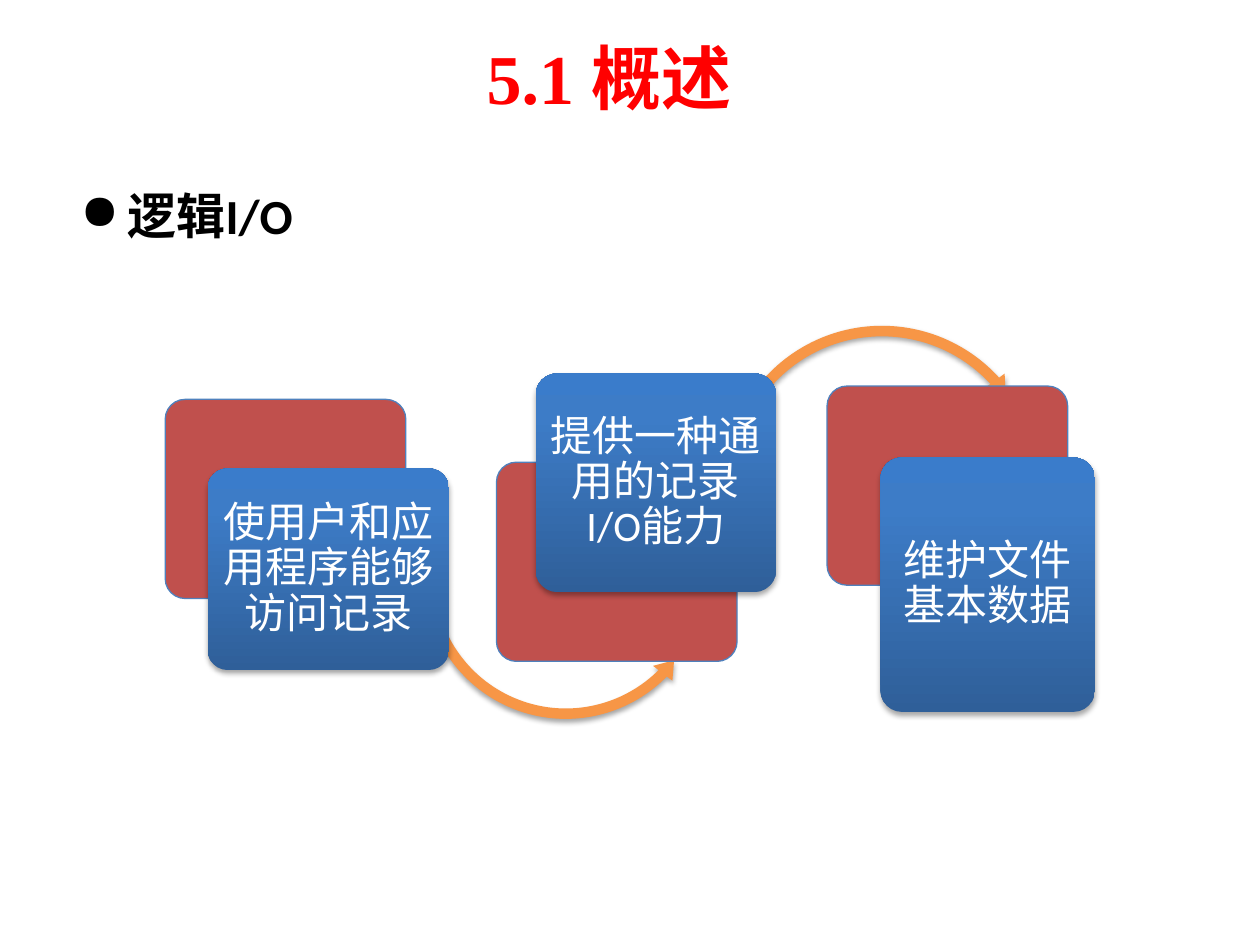
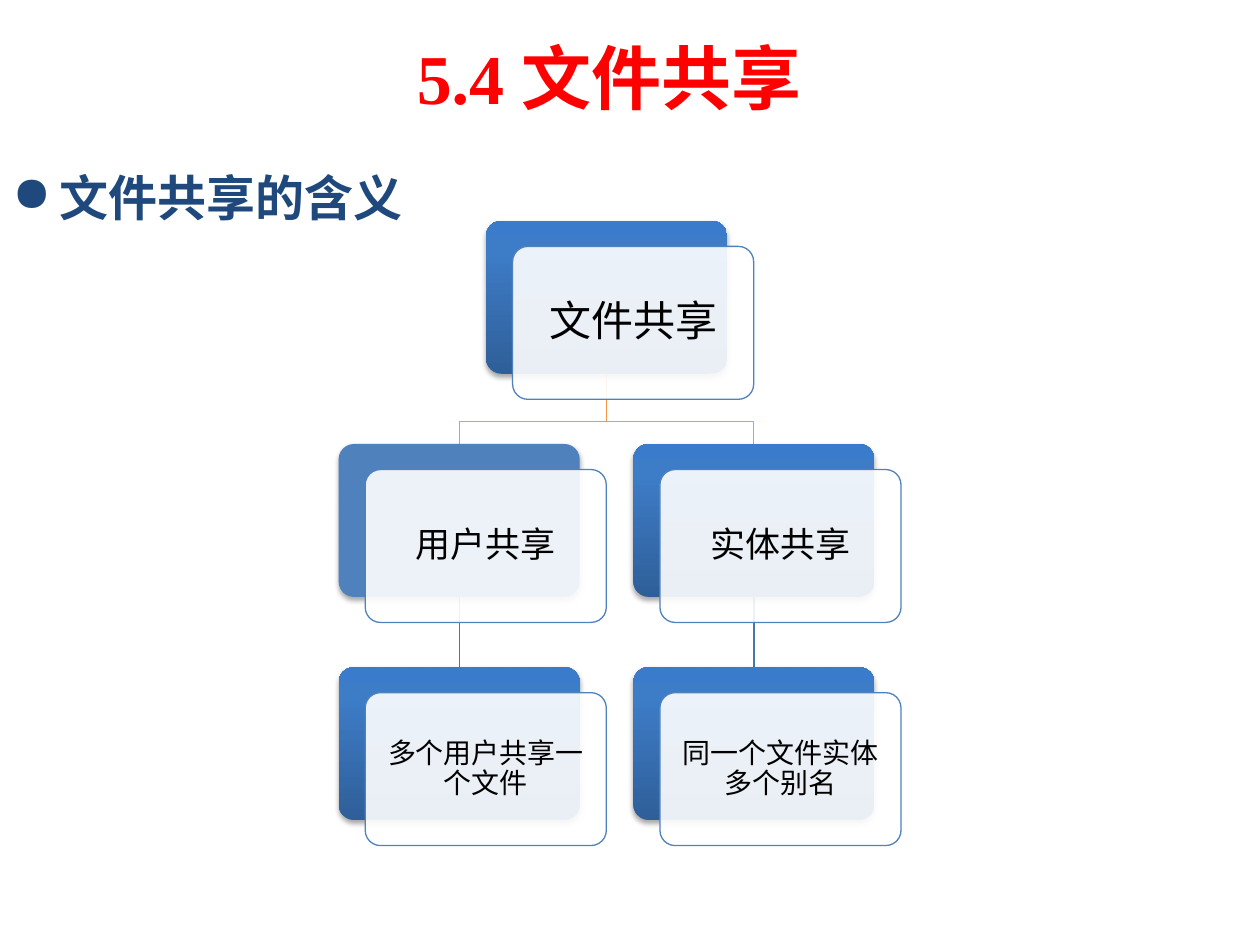
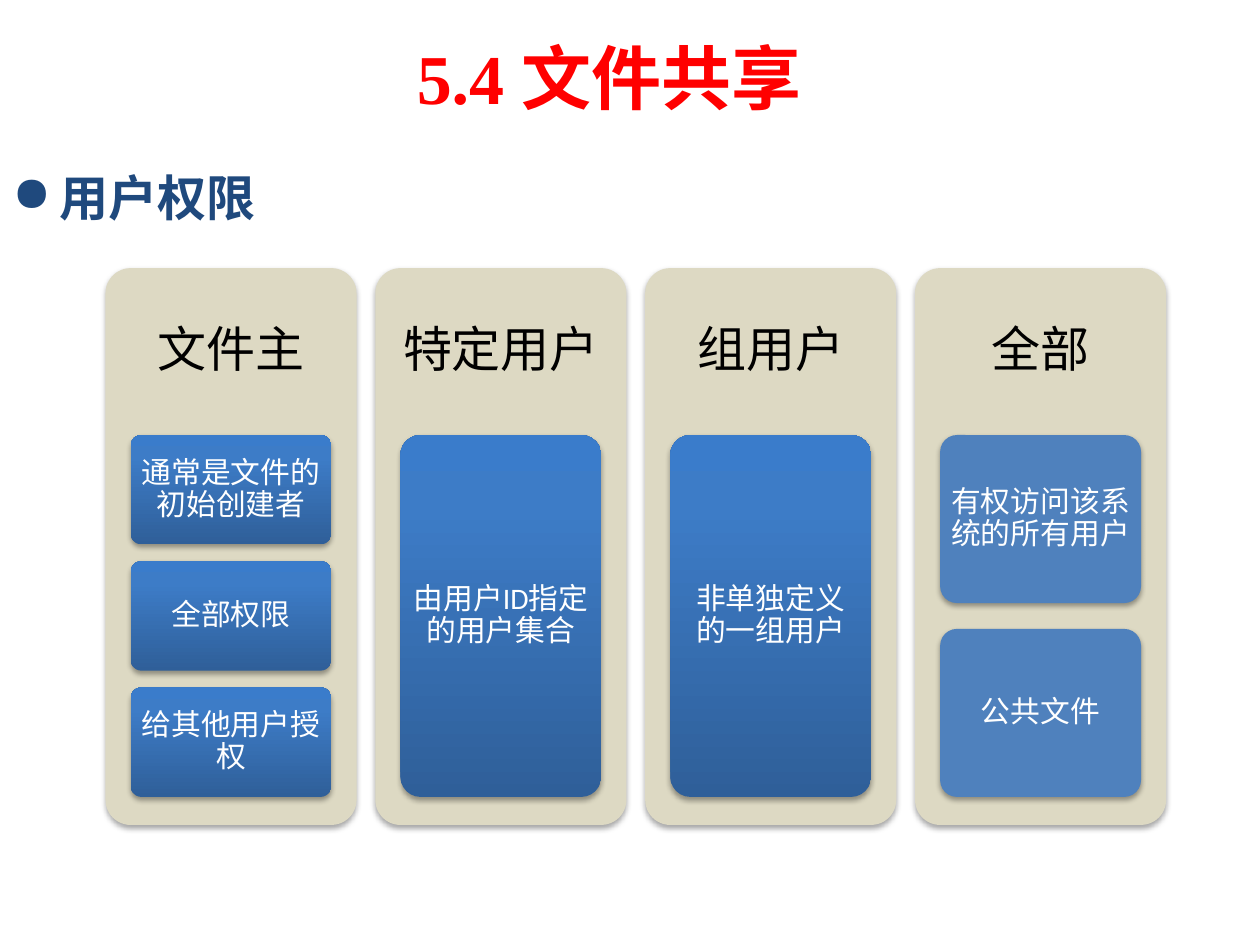
from copy import deepcopy

from pptx import Presentation
from pptx.dml.color import RGBColor
from pptx.enum.shapes import MSO_CONNECTOR, MSO_SHAPE
from pptx.enum.text import MSO_ANCHOR, PP_ALIGN
from pptx.oxml.ns import qn
from pptx.util import Pt
from lxml.etree import SubElement

RED = RGBColor(0xFF, 0x00, 0x00)
BLACK = RGBColor(0x00, 0x00, 0x00)
WHITE = RGBColor(0xFF, 0xFF, 0xFF)
NAVY = RGBColor(0x1F, 0x49, 0x7D)
BLUE = RGBColor(0x4F, 0x81, 0xBD)
LINK_BLUE = RGBColor(0x48, 0x75, 0xAC)
BRICK = RGBColor(0xC0, 0x50, 0x4D)
ORANGE = RGBColor(0xF7, 0x96, 0x46)
SAND = RGBColor(0xDD, 0xD9, 0xC3)
GLOSS = [
    (0, RGBColor(0x2F, 0x5F, 0x99)),
    (0.8, RGBColor(0x3D, 0x7C, 0xC7)),
    (1, RGBColor(0x3A, 0x7C, 0xCB)),
]

TITLE_BOX = (66.2, 21.6, 563.8, 44.6)
ROUNDING = [0.1]

OVERVIEW = {
    "title": "5.1 概述",
    "heading": "逻辑I/O",
    "heading_box": (38.9, 94.3, 617.8, 102.2),
    "plate_size": (137.5, 113.8),
    "stages": [
        {
            "plate": (94.4, 228.2),
            "card": (118.6, 267.7, 138, 115.2),
            "text": "使用户和应用程序能够访问记录",
            "arrow": (MSO_SHAPE.LEFT_CIRCULAR_ARROW, (238.3, 244.8, 170, 170),
                      [0.035, 4.356, 26.86, 94.994, 0.041]),
        },
        {
            "plate": (283.7, 264.1),
            "card": (306, 213.4, 137.5, 125),
            "text": "提供一种通用的记录I/O能力",
            "arrow": (MSO_SHAPE.CIRCULAR_ARROW, (409.7, 182.2, 188.6, 188.6),
                      [0.032, 3.878, 190.549, 121.937, 0.037]),
        },
        {
            "plate": (472.6, 220.6),
            "card": (503.1, 261.4, 122.6, 145.4),
            "text": "维护文件基本数据",
            "arrow": None,
        },
    ],
}

SHARING = {
    "title": "5.4 文件共享",
    "heading": "文件共享的含义",
    "heading_box": (0, 77, 720, 105.8),
    "root": "文件共享",
    "branches": [
        ("用户共享", "多个用户共享一个文件", BLUE),
        ("实体共享", "同一个文件实体多个别名", GLOSS),
    ],
    "level_sizes": [24, 20, 16],
}
NODE_WIDTH, NODE_HEIGHT = 137.8, 87.4
TREE_LEFT, TREE_TOP = 193.5, 126.2
BRANCH_STEP, LEVEL_STEP = 168.4, 127.5
FRONT_SHIFT = (15.2, 14.6)
ELBOW_DROP = 27.4

RIGHTS = {
    "title": "5.4 文件共享",
    "heading": "用户权限",
    "heading_box": (0, 77, 720, 69.8),
    "columns": [
        ("文件主", ["通常是文件的初始创建者", "全部权限", "给其他用户授权"], GLOSS),
        ("特定用户", ["由用户ID指定的用户集合"], GLOSS),
        ("组用户", ["非单独定义的一组用户"], GLOSS),
        ("全部", ["有权访问该系统的所有用户", "公共文件"], BLUE),
    ],
}
COLUMN_LEFT, COLUMN_TOP = 60.3, 153.2
COLUMN_WIDTH, COLUMN_HEIGHT, COLUMN_STEP = 143.5, 318.2, 154.2
HEADER_HEIGHT = 95.4
CARD_WIDTH, CARDS_HEIGHT, CARD_GAP_RATIO = 114.8, 206.8, 0.154


def points(values):
    return [Pt(round(value, 2)) for value in values]


def write_text(shape, text, *, size, color, font="Calibri", bold=False, align=PP_ALIGN.CENTER,
               anchor=MSO_ANCHOR.MIDDLE, line_spacing=0.9, insets=(7.2, 3.6)):
    frame = shape.text_frame
    frame.word_wrap = True
    frame.vertical_anchor = anchor
    frame.margin_left = frame.margin_right = Pt(insets[0])
    frame.margin_top = frame.margin_bottom = Pt(insets[1])
    paragraph = frame.paragraphs[0]
    paragraph.alignment = align
    paragraph.line_spacing = line_spacing
    run = paragraph.add_run()
    run.text = text
    run.font.size = Pt(size)
    run.font.name = font
    run.font.bold = bold
    run.font.color.rgb = color
    return paragraph


def add_text(slide, box, text, **text_format):
    return write_text(slide.shapes.add_textbox(*points(box)), text, **text_format)


def paint(shape, fill):
    if isinstance(fill, RGBColor):
        shape.fill.solid()
        shape.fill.fore_color.rgb = fill
        return
    shape.fill.gradient()
    shape.fill.gradient_angle = 90
    stop_list = shape._element.spPr.find(".//" + qn("a:gsLst"))
    stop_list.append(deepcopy(stop_list[0]))
    for stop, (position, color) in zip(shape.fill.gradient_stops, fill):
        stop.position = position
        stop.color.rgb = color


def set_alpha(parent, percent):
    color = parent.find(".//" + qn("a:srgbClr"))
    SubElement(color, qn("a:alpha"), val=str(percent * 1000))


def cast_shadow(shape):
    effects = shape._element.spPr.find(qn("a:effectLst"))
    shadow = SubElement(effects, qn("a:outerShdw"), blurRad=str(Pt(3.1)), dist=str(Pt(1.8)),
                        dir="5400000", rotWithShape="0")
    SubElement(shadow, qn("a:srgbClr"), val=str(BLACK))
    set_alpha(shadow, 35)


def add_block(slide, box, fill, kind=MSO_SHAPE.ROUNDED_RECTANGLE, adjustments=ROUNDING,
              outline=None):
    shape = slide.shapes.add_shape(kind, *points(box))
    for index, value in enumerate(adjustments):
        shape.adjustments[index] = value
    paint(shape, fill)
    shape.shadow.inherit = False
    if outline:
        shape.line.color.rgb = outline
        shape.line.width = Pt(0.75)
    else:
        shape.line.fill.background()
        cast_shadow(shape)
    return shape


def start_slide(presentation, content, heading_color, heading_spacing):
    slide = presentation.slides.add_slide(presentation.slide_layouts[6])
    add_text(slide, TITLE_BOX, content["title"], size=40, color=RED,
             font="Times New Roman", bold=True, line_spacing=1)
    paragraph = add_text(slide, content["heading_box"], content["heading"], size=28,
                         color=heading_color, bold=True, align=PP_ALIGN.LEFT,
                         anchor=MSO_ANCHOR.TOP, line_spacing=heading_spacing)
    paragraph.space_before = Pt(5.6)
    properties = paragraph._p.get_or_add_pPr()
    properties.set("marL", str(Pt(27)))
    properties.set("indent", str(-Pt(27)))
    bullet_color = SubElement(properties, qn("a:buClr"))
    SubElement(bullet_color, qn("a:srgbClr"), val=str(heading_color))
    SubElement(properties, qn("a:buChar"), char="●")
    return slide


def build_overview(presentation):
    slide = start_slide(presentation, OVERVIEW, BLACK, 1.25)
    for stage in OVERVIEW["stages"]:
        add_block(slide, stage["plate"] + OVERVIEW["plate_size"], BRICK, outline=BLUE)
        if stage["arrow"]:
            kind, box, adjustments = stage["arrow"]
            add_block(slide, box, ORANGE, kind, adjustments)
        card = add_block(slide, stage["card"], GLOSS)
        write_text(card, stage["text"], size=24, color=WHITE, insets=(3.6, 2.4))


def add_node(slide, column, level, text, fill):
    left, top = TREE_LEFT + column * BRANCH_STEP, TREE_TOP + level * LEVEL_STEP
    size = SHARING["level_sizes"][level]
    back = add_block(slide, (left, top, NODE_WIDTH, NODE_HEIGHT), fill)
    front = add_block(slide, (left + FRONT_SHIFT[0], top + FRONT_SHIFT[1],
                              NODE_WIDTH, NODE_HEIGHT), WHITE, outline=BLUE)
    set_alpha(front._element.spPr.find(qn("a:solidFill")), 90)
    write_text(front, text, size=size, color=BLACK, insets=(size * 0.3, size * 0.3))
    return back


def add_elbow(slide, column):
    root_x = TREE_LEFT + BRANCH_STEP / 2 + NODE_WIDTH / 2
    branch_x = TREE_LEFT + column * BRANCH_STEP + NODE_WIDTH / 2
    root_bottom = TREE_TOP + NODE_HEIGHT
    bend_y = root_bottom + ELBOW_DROP
    builder = slide.shapes.build_freeform(*points((root_x, root_bottom)))
    corners = [(root_x, bend_y), (branch_x, bend_y), (branch_x, TREE_TOP + LEVEL_STEP)]
    builder.add_line_segments([points(corner) for corner in corners], close=False)
    elbow = builder.convert_to_shape()
    elbow.fill.background()
    elbow.line.color.rgb = ORANGE
    elbow.line.width = Pt(0.75)
    elbow.shadow.inherit = False


def add_link(slide):
    link = slide.shapes.add_connector(MSO_CONNECTOR.STRAIGHT, 0, 0, 0, 0)
    link.line.color.rgb = LINK_BLUE
    link.line.width = Pt(0.75)
    SubElement(link._element.spPr, qn("a:effectLst"))
    return link


def build_sharing(presentation):
    slide = start_slide(presentation, SHARING, NAVY, 1.45)
    links = [add_link(slide) for _ in SHARING["branches"]]
    for column in range(len(links)):
        add_elbow(slide, column)
    add_node(slide, 0.5, 0, SHARING["root"], GLOSS)
    for column, (name, meaning, fill) in enumerate(SHARING["branches"]):
        branch = add_node(slide, column, 1, name, fill)
        leaf = add_node(slide, column, 2, meaning, GLOSS)
        links[column].begin_connect(branch, 2)
        links[column].end_connect(leaf, 0)


def build_rights(presentation):
    slide = start_slide(presentation, RIGHTS, NAVY, 1.45)
    for index, (name, rights, fill) in enumerate(RIGHTS["columns"]):
        left = COLUMN_LEFT + index * COLUMN_STEP
        add_block(slide, (left, COLUMN_TOP, COLUMN_WIDTH, COLUMN_HEIGHT), SAND)
        add_text(slide, (left, COLUMN_TOP, COLUMN_WIDTH, HEADER_HEIGHT), name,
                 size=28, color=BLACK, insets=(8.4, 8.4))
        card_left = left + (COLUMN_WIDTH - CARD_WIDTH) / 2
        count = len(rights)
        card_height = CARDS_HEIGHT / (count + (count - 1) * CARD_GAP_RATIO)
        for row, right in enumerate(rights):
            card_top = COLUMN_TOP + HEADER_HEIGHT + row * card_height * (1 + CARD_GAP_RATIO)
            card = add_block(slide, (card_left, card_top, CARD_WIDTH, card_height), fill)
            write_text(card, right, size=17, color=WHITE, insets=(3.4, 2.6))


def main():
    presentation = Presentation()
    presentation.slide_width, presentation.slide_height = Pt(720), Pt(540)
    build_overview(presentation)
    build_sharing(presentation)
    build_rights(presentation)
    presentation.save("out.pptx")


if __name__ == "__main__":
    main()
